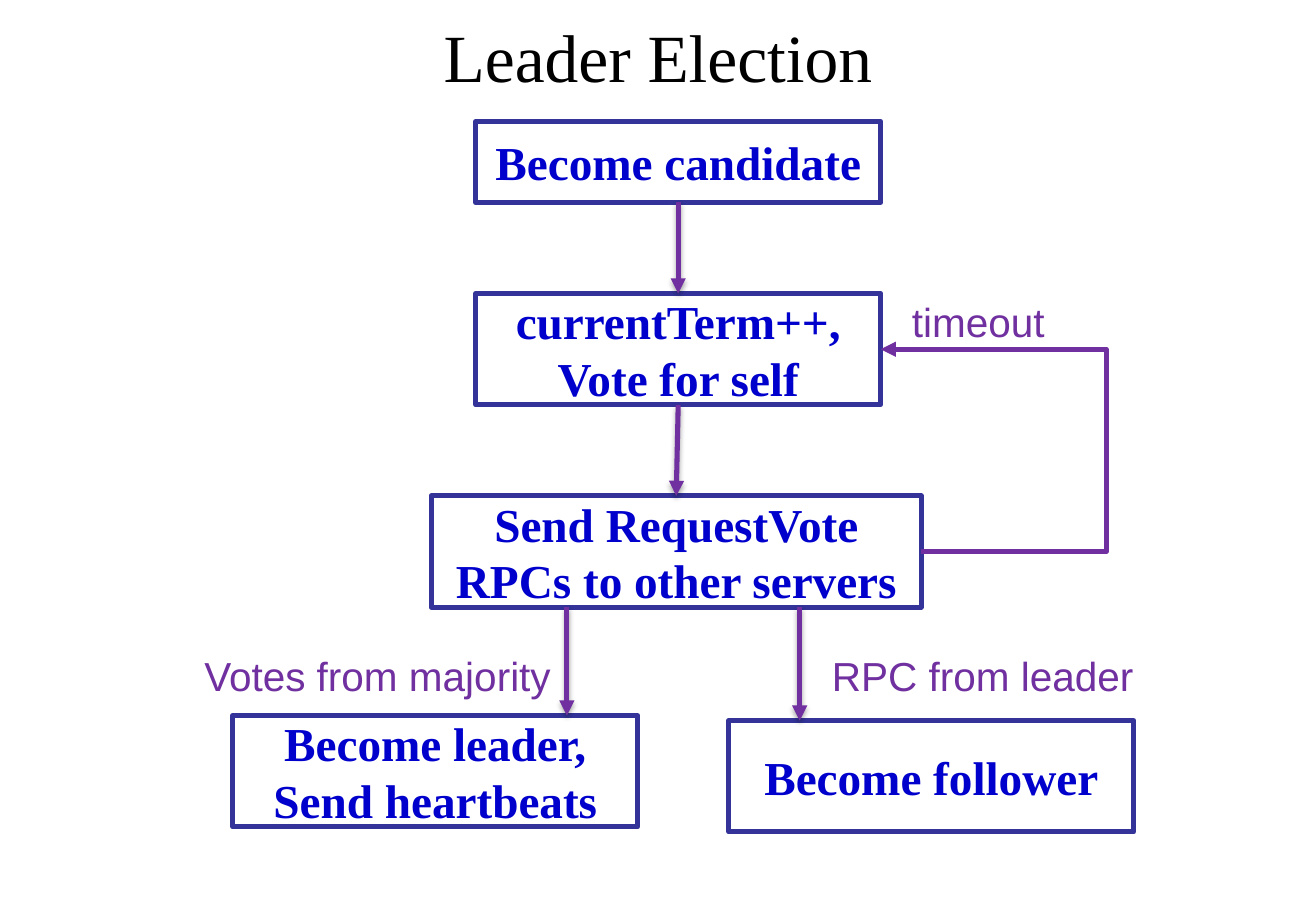
from dataclasses import dataclass

from lxml import etree
from pptx import Presentation
from pptx.dml.color import RGBColor as RGB
from pptx.enum.shapes import MSO_CONNECTOR as CONN, MSO_SHAPE as SHAPE
from pptx.enum.text import MSO_ANCHOR as ANCHOR, PP_ALIGN as ALIGN
from pptx.oxml.ns import qn
from pptx.util import Pt

PX = 7620  # EMU, 120 px to the inch
TOP, BOTTOM, RIGHT = 0, 2, 3  # connection sites of a rectangle


@dataclass(frozen=True)
class Theme:
    serif: str = "Times New Roman"
    sans: str = "Arial"
    title: RGB = RGB(0, 0, 0)
    box_fill: RGB = RGB(0xFF, 0xFF, 0xFF)
    box_line: RGB = RGB(0x33, 0x33, 0x99)
    box_text: RGB = RGB(0, 0, 0xCC)
    flow: RGB = RGB(0x70, 0x30, 0xA0)
    title_size: Pt = Pt(40)
    box_size: Pt = Pt(28)
    label_size: Pt = Pt(24)
    line_width: Pt = Pt(3)


theme = Theme()


def write(sp, text, font, size, color, align=ALIGN.CENTER, bold=False):
    tf = sp.text_frame
    tf.text = text
    tf.vertical_anchor = ANCHOR.MIDDLE
    for p in tf.paragraphs:
        p.alignment = align
        p.font.name, p.font.size, p.font.bold = font, size, bold
        p.font.color.rgb = color
    return tf


def connect(kind, x1, y1, x2, y2, arrow_end, shadow):
    """Draw a flow line; arrow_end is headEnd (start) or tailEnd (finish)."""
    cx = s.shapes.add_connector(kind, x1 * PX, y1 * PX, x2 * PX, y2 * PX)
    cx.line.color.rgb = theme.flow
    cx.line.width = theme.line_width
    props = cx._element.spPr
    etree.SubElement(props.find(qn("a:ln")), qn(f"a:{arrow_end}"), type="triangle")
    effects = etree.SubElement(props, qn("a:effectLst"))
    if shadow:
        outer = etree.SubElement(effects, qn("a:outerShdw"), blurRad=str(Pt(3.1)),
                                 dist=str(Pt(1.8)), dir="5400000", rotWithShape="0")
        black = etree.SubElement(outer, qn("a:srgbClr"), val="000000")
        etree.SubElement(black, qn("a:alpha"), val="35000")
    return cx


prs = Presentation()
prs.slide_width, prs.slide_height = 1300 * PX, 900 * PX
s = prs.slides.add_slide(prs.slide_layouts[6])

title = s.shapes.add_textbox(65 * PX, 0, 1170 * PX, 110 * PX)
write(title, "Leader Election", theme.serif, theme.title_size, theme.title).word_wrap = True

steps = {
    "candidate": ("Become candidate", 470, 120, 400, 80),
    "vote": ("currentTerm++,\nVote for self", 470, 290, 400, 110),
    "request": ("Send RequestVote RPCs to other servers", 426, 490, 484, 110),
    "leader": ("Become leader,\nSend heartbeats", 230, 707, 400, 110),
    "follower": ("Become follower", 720, 712, 400, 110),
}
boxes = {}
for name, (text, x, y, w, h) in steps.items():
    sp = s.shapes.add_shape(SHAPE.RECTANGLE, x * PX, y * PX, w * PX, h * PX)
    sp.shadow.inherit = False
    sp.fill.solid()
    sp.fill.fore_color.rgb = theme.box_fill
    sp.line.color.rgb = theme.box_line
    sp.line.width = theme.line_width
    write(sp, text, theme.serif, theme.box_size, theme.box_text, bold=True)
    boxes[name] = sp

for start, end in [("candidate", "vote"), ("vote", "request")]:
    arrow = connect(CONN.STRAIGHT, 0, 0, 1, 1, "tailEnd", shadow=True)
    arrow.begin_connect(boxes[start], BOTTOM)
    arrow.end_connect(boxes[end], TOP)

for x, bottom in [(560, 707), (790, 712)]:
    connect(CONN.STRAIGHT, x, 600, x, bottom, "tailEnd", shadow=True)

retry = connect(CONN.ELBOW, 870, 345, 910, 545, "headEnd", shadow=False)
retry.begin_connect(boxes["vote"], RIGHT)
retry.end_connect(boxes["request"], RIGHT)
guides = retry._element.spPr.find(qn("a:prstGeom")).find(qn("a:avLst"))
etree.SubElement(guides, qn("a:gd"), name="adj1", fmla="val 556800")

labels = [
    ("Votes from majority", 190, 637, 370),
    ("RPC from leader", 810, 637, 325),
    ("timeout", 889, 287, 157),
]
for text, x, y, w in labels:
    label = s.shapes.add_textbox(x * PX, y * PX, w * PX, 60 * PX)
    tf = write(label, text, theme.sans, theme.label_size, theme.flow, ALIGN.LEFT)
    tf.word_wrap = False

prs.save("out.pptx")
